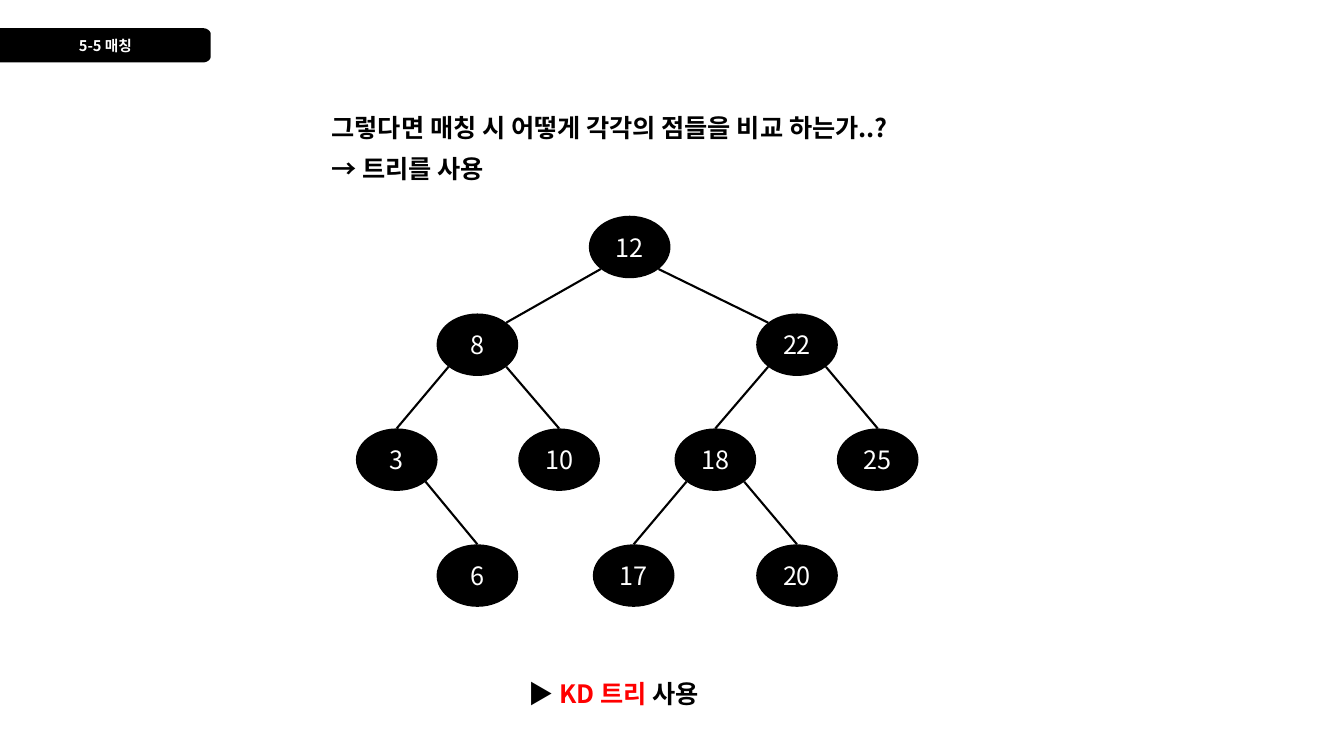
import math

import pptx
import pptx.dml.color
import pptx.enum.shapes
import pptx.enum.text
import pptx.oxml.ns
import pptx.util
from lxml import etree
from pptx.util import Inches

COLORS = {"ink": "000000", "paper": "FFFFFF", "accent": "FF0000"}
FONT = "Noto Sans CJK KR"
NODE_WIDTH, NODE_HEIGHT = 0.81, 0.62
ROW_TOPS = [2.14, 3.11, 4.25, 5.4]
NODES = {
    "12": (5.84, 0), "8": (4.33, 1), "22": (7.5, 1),
    "3": (3.53, 2), "10": (5.14, 2), "18": (6.69, 2), "25": (8.3, 2),
    "6": (4.33, 3), "17": (5.88, 3), "20": (7.5, 3),
}
BRANCHES = {"12": ["8", "22"], "8": ["3", "10"], "22": ["18", "25"],
            "3": ["6"], "18": ["17", "20"]}


def color(name):
    return pptx.dml.color.RGBColor.from_string(COLORS[name])


def apply_format(target, values):
    for name, value in values.items():
        setattr(target, name, value)


def write(para, spans, size, bold):
    for text, color_name in spans:
        span = para.add_run()
        span.text = text
        apply_format(span.font, {"name": FONT, "size": pptx.util.Pt(size), "bold": bold})
        span.font.color.rgb = color(color_name)
        latin = span.font._element.find(pptx.oxml.ns.qn("a:latin"))
        east_asian = etree.Element(pptx.oxml.ns.qn("a:ea"), typeface=FONT)
        latin.addnext(east_asian)


def style_black_shape(shape, label, size, bold):
    shape.shadow.inherit = False
    shape.fill.solid()
    shape.fill.fore_color.rgb = color("ink")
    shape.line.fill.background()
    frame = shape.text_frame
    frame.vertical_anchor = pptx.enum.text.MSO_ANCHOR.MIDDLE
    para = frame.paragraphs[0]
    para.alignment = pptx.enum.text.PP_ALIGN.CENTER
    write(para, [(label, "paper")], size, bold)


def add_section_tab(page, label):
    top, bottom, right = 0.28, 0.62, 2.09
    radius_x, radius_y = 0.08, 0.06
    points = [(0, top)]
    for start, center_y in ((-90, top + radius_y), (0, bottom - radius_y)):
        for step in range(0, 91, 10):
            angle = math.radians(start + step)
            points.append((right - radius_x + radius_x * math.cos(angle),
                           center_y + radius_y * math.sin(angle)))
    points.append((0, bottom))
    points = [(Inches(x), Inches(y)) for x, y in points]
    outline = page.shapes.build_freeform(*points[0])
    outline.add_line_segments(points[1:], close=True)
    style_black_shape(outline.convert_to_shape(), label, 10.5, True)


def add_text(page, left, top, width, spans):
    box = page.shapes.add_textbox(Inches(left), Inches(top), Inches(width), Inches(0.4))
    apply_format(box.text_frame, {
        "word_wrap": True,
        "auto_size": pptx.enum.text.MSO_AUTO_SIZE.SHAPE_TO_FIT_TEXT,
    })
    write(box.text_frame.paragraphs[0], spans, 18, True)


def add_node(page, label):
    left, row = NODES[label]
    node = page.shapes.add_shape(
        pptx.enum.shapes.MSO_SHAPE.OVAL, Inches(left), Inches(ROW_TOPS[row]),
        Inches(NODE_WIDTH), Inches(NODE_HEIGHT))
    style_black_shape(node, label, 18, False)


def rim_point(label, side_x, side_y):
    left, row = NODES[label]
    diagonal = math.sqrt(0.5) if side_x else 1
    return (Inches(left + NODE_WIDTH / 2 * (1 + side_x * diagonal)),
            Inches(ROW_TOPS[row] + NODE_HEIGHT / 2 * (1 + side_y * diagonal)))


def add_branch(page, parent, child):
    side = 1 if NODES[child][0] > NODES[parent][0] else -1
    child_side = -side if NODES[child][1] == 1 else 0
    branch = page.shapes.add_connector(
        pptx.enum.shapes.MSO_CONNECTOR.STRAIGHT,
        *rim_point(parent, side, 1), *rim_point(child, child_side, -1))
    branch.line.color.rgb = color("ink")
    branch.line.width = pptx.util.Pt(1.5)
    etree.SubElement(branch._element.spPr, pptx.oxml.ns.qn("a:effectLst"))


def main():
    deck = pptx.Presentation()
    apply_format(deck, {"slide_width": Inches(13.33), "slide_height": Inches(7.5)})
    page = deck.slides.add_slide(deck.slide_layouts[6])
    add_section_tab(page, "5-5 매칭")
    add_text(page, 3.19, 1.07, 7.84,
             [("그렇다면 매칭 시 어떻게 각각의 점들을 비교 하는가..?", "ink")])
    add_text(page, 3.19, 1.47, 7.84, [("→ 트리를 사용", "ink")])
    for label in NODES:
        add_node(page, label)
    for parent, children in BRANCHES.items():
        for child in children:
            add_branch(page, parent, child)
    add_text(page, 5.14, 6.68, 2.63,
             [("▶ ", "ink"), ("KD 트리 ", "accent"), ("사용", "ink")])
    deck.save("out.pptx")


if __name__ == "__main__":
    main()
